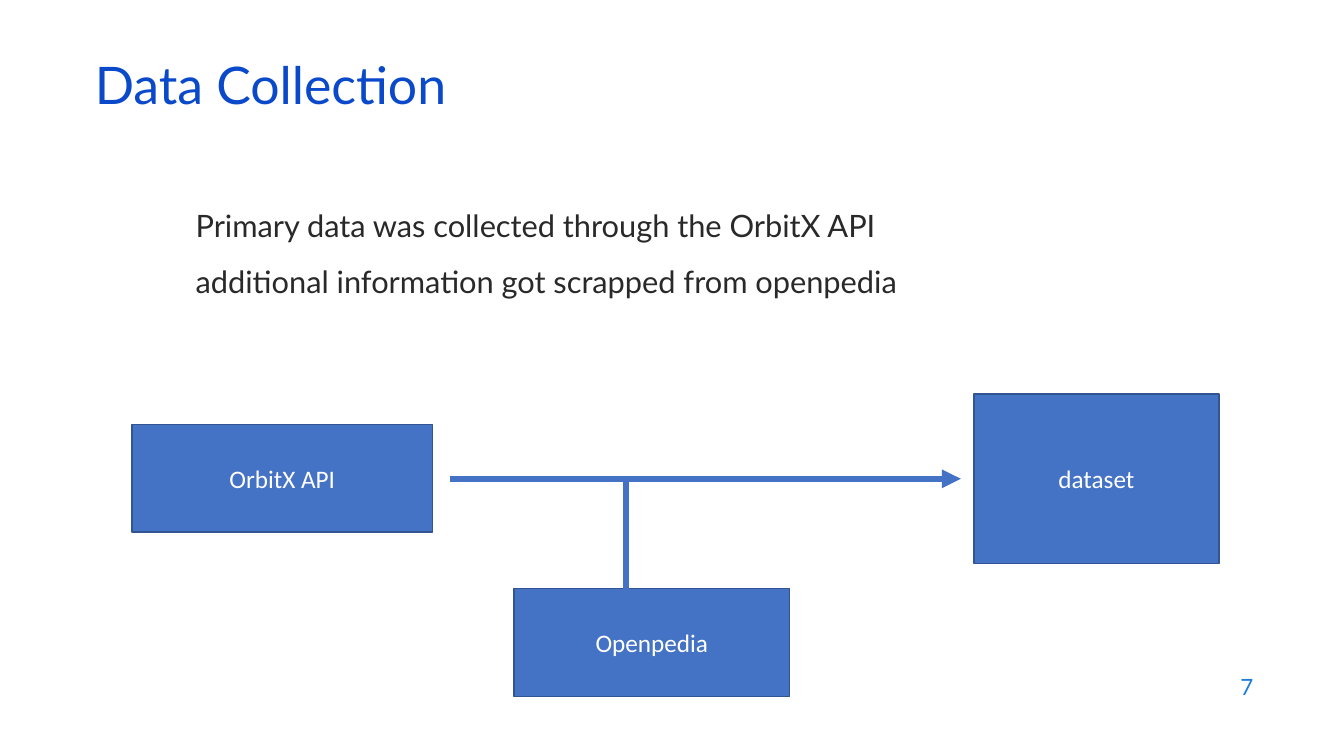
from lxml.etree import SubElement
from pptx import Presentation
from pptx.dml.color import RGBColor
from pptx.enum.shapes import MSO_CONNECTOR, MSO_SHAPE
from pptx.enum.text import MSO_ANCHOR, MSO_AUTO_SIZE, PP_ALIGN
from pptx.oxml.ns import qn
from pptx.util import Inches, Pt

TITLE_BLUE = RGBColor(0x0B, 0x49, 0xCB)
NUMBER_BLUE = RGBColor(0x1C, 0x7D, 0xDB)
TEXT_DARK = RGBColor(0x29, 0x29, 0x29)
BOX_FILL = RGBColor(0x44, 0x72, 0xC4)
BOX_LINE = RGBColor(0x32, 0x54, 0x91)
WHITE = RGBColor(0xFF, 0xFF, 0xFF)


def place(sp, left, top, width, height):
    sp.left, sp.top = Inches(left), Inches(top)
    sp.width, sp.height = Inches(width), Inches(height)


def style(p, font, size, color, align=PP_ALIGN.LEFT):
    p.alignment = align
    for r in p.runs:
        r.font.name = font
        r.font.size = Pt(size)
        r.font.color.rgb = color


def set_title(s, text):
    sp = s.shapes.title
    place(sp, 0.84, 0.59, 11.5, 0.6)
    tf = sp.text_frame
    tf.text = text
    tf.auto_size = MSO_AUTO_SIZE.NONE
    tf.vertical_anchor = MSO_ANCHOR.MIDDLE
    p = tf.paragraphs[0]
    p.line_spacing = 0.8
    style(p, "Lato", 37, TITLE_BLUE)


def set_body(s, lines):
    sp = s.placeholders[1]
    place(sp, 0.84, 2, 11.5, 4.76)
    tf = sp.text_frame
    tf.text = "\n".join(lines)
    tf.auto_size = MSO_AUTO_SIZE.NONE
    tf.vertical_anchor = MSO_ANCHOR.TOP
    for i, p in enumerate(tf.paragraphs):
        p.space_before = Pt(14 if i else 0)
        # Indented, without bullets
        pPr = p._p.get_or_add_pPr()
        pPr.set("marL", str(Inches(1)))
        pPr.set("indent", "0")
        SubElement(pPr, qn("a:buNone"))
        style(p, "Lato", 22, TEXT_DARK)


def add_box(s, label, left, top, width, height):
    sp = s.shapes.add_shape(MSO_SHAPE.RECTANGLE, Inches(left), Inches(top),
                            Inches(width), Inches(height))
    sp.shadow.inherit = False
    sp.fill.solid()
    sp.fill.fore_color.rgb = BOX_FILL
    sp.line.color.rgb = BOX_LINE
    sp.line.width = Pt(1)
    tf = sp.text_frame
    tf.text = label
    tf.vertical_anchor = MSO_ANCHOR.MIDDLE
    style(tf.paragraphs[0], "Calibri", 18, WHITE, PP_ALIGN.CENTER)


def add_line(s, x1, y1, x2, y2, arrow=False):
    line = s.shapes.add_connector(MSO_CONNECTOR.STRAIGHT, Inches(x1), Inches(y1),
                                  Inches(x2), Inches(y2))
    line.line.color.rgb = BOX_FILL
    line.line.width = Pt(4.5)
    if arrow:
        SubElement(line.line._get_or_add_ln(), qn("a:tailEnd"), type="triangle")
    SubElement(line._element.spPr, qn("a:effectLst"))


def add_slide_number(s, number):
    sp = s.shapes.add_textbox(Inches(9.53), Inches(6.59), Inches(3), Inches(0.44))
    tf = sp.text_frame
    tf.word_wrap = True
    tf.text = number
    tf.vertical_anchor = MSO_ANCHOR.MIDDLE
    style(tf.paragraphs[0], "Lato", 16, NUMBER_BLUE, PP_ALIGN.RIGHT)


def main():
    prs = Presentation()
    prs.slide_width, prs.slide_height = Inches(13.33), Inches(7.5)
    s = prs.slides.add_slide(prs.slide_layouts[1])

    # Text
    set_title(s, "Data Collection")
    set_body(s, ["Primary data was collected through the OrbitX API",
                 "additional information got scrapped from openpedia"])
    add_slide_number(s, "7")

    # Flow from the two sources to the dataset
    add_box(s, "OrbitX API", 1.31, 4.21, 2.98, 1.07)
    add_box(s, "Openpedia", 5.1, 5.84, 2.73, 1.07)
    add_box(s, "dataset", 9.66, 3.91, 2.43, 1.68)
    flow_y = 4.75
    add_line(s, 4.46, flow_y, 9.53, flow_y, arrow=True)
    add_line(s, 6.21, flow_y, 6.21, 5.95)

    prs.save("out.pptx")


if __name__ == "__main__":
    main()
